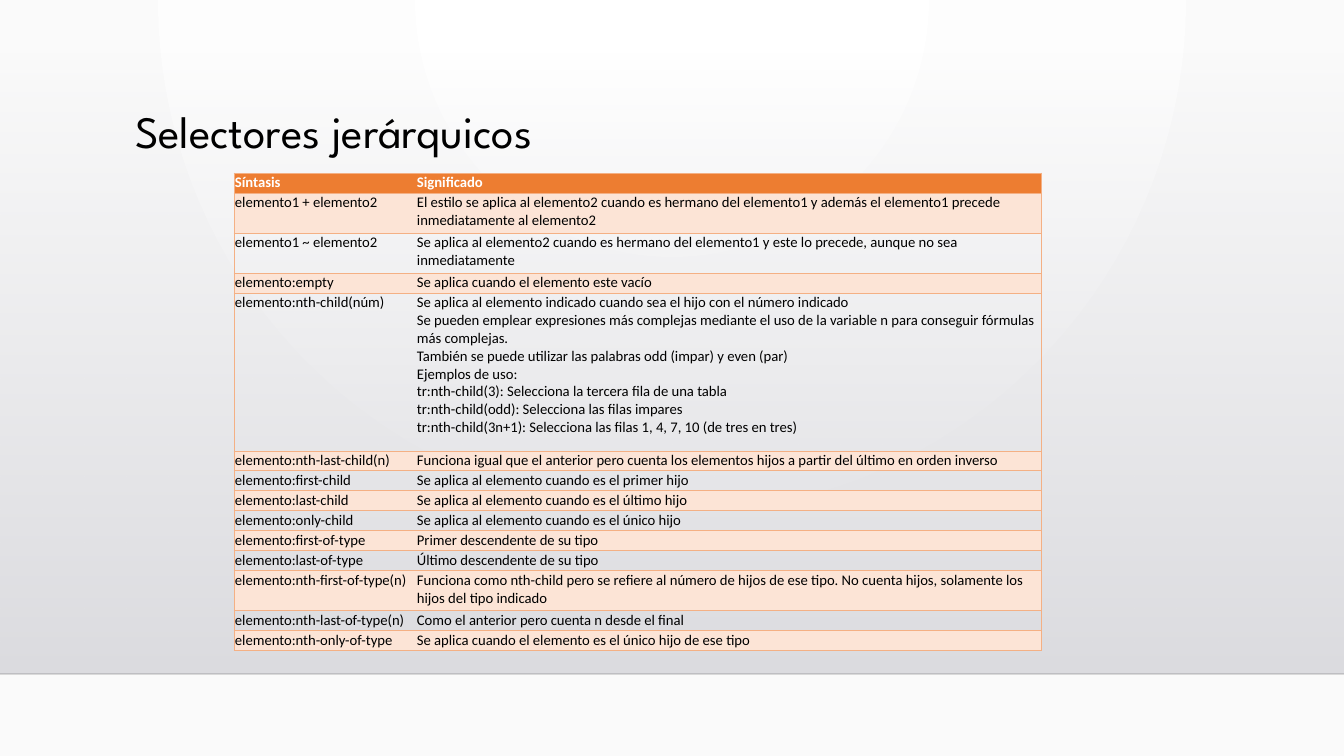
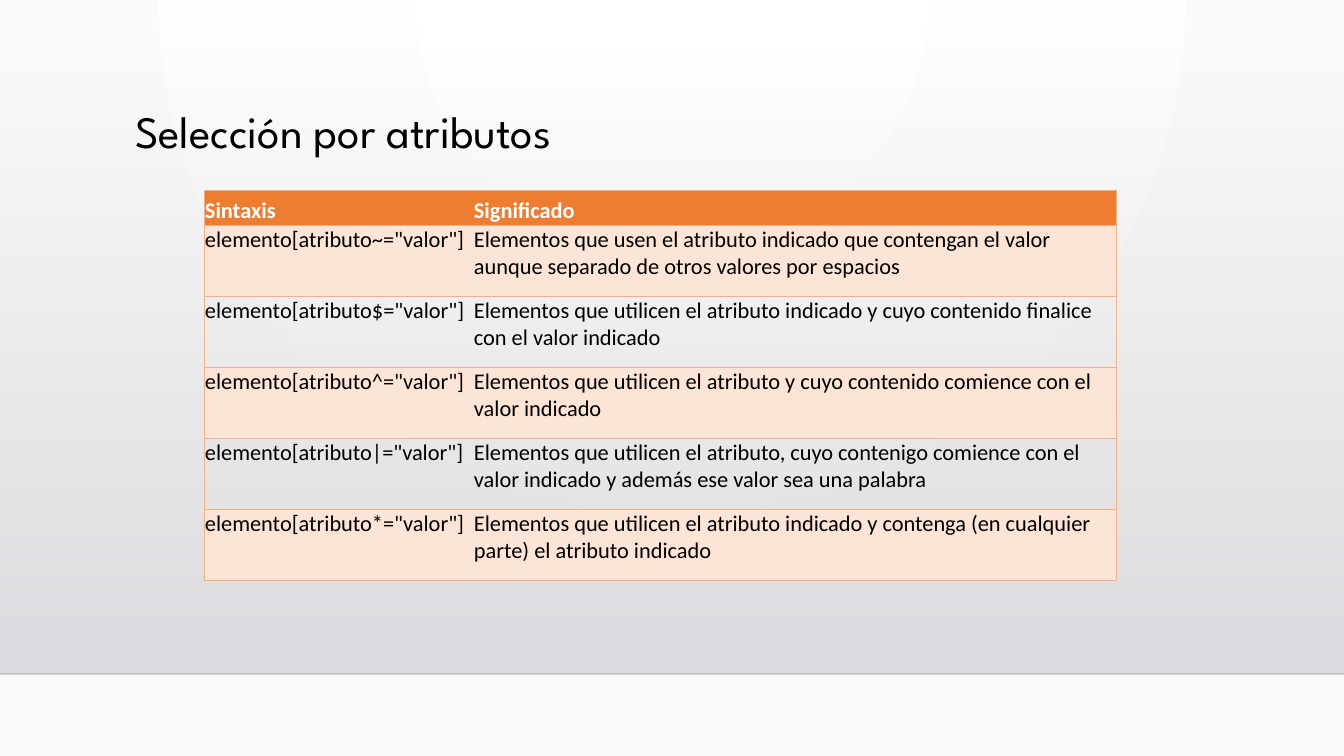
import pptx
import pptx.dml.color
import pptx.enum.shapes
import pptx.enum.text
import pptx.oxml
import pptx.oxml.ns
import pptx.util

WIDTH, HEIGHT = 1344, 756
SCALE = 12192000 / WIDTH
FLOOR_TOP = 674
BLACK, WHITE = "000000", "FFFFFF"
HEADER, BAND, BORDER = "ED7D31", "FCE4D6", "F4B084"
PLAIN_TABLE = "{2D5ABB26-0587-4C30-8999-92F81FD0307C}"
ANCHOR = pptx.enum.text.MSO_ANCHOR

HIERARCHY = [
    ("Síntasis", "Significado"),
    ("elemento1 + elemento2",
     "El estilo se aplica al elemento2 cuando es hermano del elemento1 y además "
     "el elemento1 precede inmediatamente al elemento2"),
    ("elemento1 ~ elemento2",
     "Se aplica al elemento2 cuando es hermano del elemento1 y este lo precede, "
     "aunque no sea inmediatamente"),
    ("elemento:empty", "Se aplica cuando el elemento este vacío"),
    ("elemento:nth-child(núm)",
     "Se aplica al elemento indicado cuando sea el hijo con el número indicado\n"
     "Se pueden emplear expresiones más complejas mediante el uso de la variable n "
     "para conseguir fórmulas más complejas.\n"
     "También se puede utilizar las palabras odd (impar) y even (par)\n"
     "Ejemplos de uso:\n"
     "tr:nth-child(3): Selecciona la tercera fila de una tabla\n"
     "tr:nth-child(odd): Selecciona las filas impares\n"
     "tr:nth-child(3n+1): Selecciona las filas 1, 4, 7, 10 (de tres en tres)"),
    ("elemento:nth-last-child(n)",
     "Funciona igual que el anterior pero cuenta los elementos hijos a partir del "
     "último en orden inverso"),
    ("elemento:first-child", "Se aplica al elemento cuando es el primer hijo"),
    ("elemento:last-child", "Se aplica al elemento cuando es el último hijo"),
    ("elemento:only-child", "Se aplica al elemento cuando es el único hijo"),
    ("elemento:first-of-type", "Primer descendente de su tipo"),
    ("elemento:last-of-type", "Último descendente de su tipo"),
    ("elemento:nth-first-of-type(n)",
     "Funciona como nth-child pero se refiere al número de hijos de ese tipo. "
     "No cuenta hijos, solamente los hijos del tipo indicado"),
    ("elemento:nth-last-of-type(n)", "Como el anterior pero cuenta n desde el final"),
    ("elemento:nth-only-of-type",
     "Se aplica cuando el elemento es el único hijo de ese tipo"),
]
HIERARCHY_HEIGHTS = [20, 40, 40, 20, 158] + [20] * 6 + [40, 20, 20]

ATTRIBUTES = [
    ("Sintaxis", "Significado"),
    ('elemento[atributo~="valor"]',
     "Elementos que usen el atributo indicado que contengan el valor aunque "
     "separado de otros valores por espacios"),
    ('elemento[atributo$="valor"]',
     "Elementos que utilicen el atributo indicado y cuyo contenido finalice con "
     "el valor indicado"),
    ('elemento[atributo^="valor"]',
     "Elementos que utilicen el atributo y cuyo contenido comience con el valor "
     "indicado"),
    ('elemento[atributo|="valor"]',
     "Elementos que utilicen el atributo, cuyo contenigo comience con el valor "
     "indicado y además ese valor sea una palabra"),
    ('elemento[atributo*="valor"]',
     "Elementos que utilicen el atributo indicado y contenga (en cualquier parte) "
     "el atributo indicado"),
]
ATTRIBUTE_HEIGHTS = [35] + [71] * 5


def px(length):
    """Turn a length in pixels into EMU."""
    return pptx.util.Emu(round(length * SCALE))


def color(value):
    """Turn a hex string into a colour."""
    return pptx.dml.color.RGBColor.from_string(value)


def xml(markup):
    """Parse markup whose outer tag lies in the drawing namespace."""
    head, space, rest = markup.partition(" ")
    return pptx.oxml.parse_xml(f"{head} {pptx.oxml.ns.nsdecls('a')}{space}{rest}")


def set_gradient(fill, element, stops, direction):
    """Give a fill the gradient of (position, colour, opacity) stops."""
    fill.gradient()
    old = element.xpath(".//a:gradFill")[0]
    marks = "".join(
        f'<a:gs pos="{position * 1000}"><a:srgbClr val="{value}">'
        f'<a:alpha val="{opacity * 1000}"/></a:srgbClr></a:gs>'
        for position, value, opacity in stops)
    new = xml(f'<a:gradFill rotWithShape="1"><a:gsLst>{marks}</a:gsLst>{direction}</a:gradFill>')
    old.getparent().replace(old, new)


def write_text(frame, text, size, font, fill=BLACK, bold=False, spacing=None):
    """Write text, one paragraph a line, in a single format."""
    frame.text = text
    frame.word_wrap = True
    for para in frame.paragraphs:
        para.alignment = pptx.enum.text.PP_ALIGN.LEFT
        para.line_spacing = spacing
        for span in para.runs:
            span.font.size = pptx.util.Pt(size)
            span.font.name = font
            span.font.bold = bold
            span.font.color.rgb = color(fill)


def build_backdrop(layout, slide):
    """Put the background, the shaded wall and the floor line on the layout."""
    set_gradient(
        layout.background.fill, layout.element,
        [(0, WHITE, 100), (100, "FAFAFA", 100)],
        '<a:path path="circle"><a:fillToRect l="43000" r="43000" b="100000"/></a:path>')

    wall_top = 51
    wall = slide.shapes.add_shape(
        pptx.enum.shapes.MSO_SHAPE.RECTANGLE,
        0, px(wall_top), px(WIDTH), px(FLOOR_TOP - wall_top))
    wall.shadow.inherit = False
    wall.line.fill.background()
    set_gradient(wall.fill, wall.element, [(0, "DCDCE0", 0), (100, "DEDEE2", 100)],
                 '<a:lin ang="5400000" scaled="0"/>')

    edge = slide.shapes.add_connector(
        pptx.enum.shapes.MSO_CONNECTOR.STRAIGHT,
        0, px(FLOOR_TOP), px(WIDTH), px(FLOOR_TOP))
    edge.line.width = pptx.util.Pt(1)
    edge.line.color.rgb = color("000001")
    edge.element.xpath(".//a:ln//a:srgbClr")[0].append(xml('<a:alpha val="20000"/>'))
    edge.element.spPr.append(xml("<a:effectLst />"))

    for position, shape in enumerate((wall, edge), start=2):
        layout.shapes.element.insert(position, shape.element)


def set_title(slide, text):
    """Place and write the slide title."""
    title = slide.shapes.title
    title.left, title.top, title.width, title.height = px(125), px(105), px(1058), px(116)
    write_text(title.text_frame, text, 32, "League Spartan", spacing=0.9)
    title.text_frame.vertical_anchor = ANCHOR.TOP
    title.text_frame.auto_size = pptx.enum.text.MSO_AUTO_SIZE.NONE


def add_borders(cell, sides):
    """Draw thin borders on the named sides of a cell."""
    properties = cell._tc.get_or_add_tcPr()
    for side in sides:
        properties.append(xml(
            f'<a:ln{side} w="6350"><a:solidFill><a:srgbClr val="{BORDER}"/>'
            f'</a:solidFill></a:ln{side}>'))


def fill_cell(cell, text, row, column, size, header_anchor):
    """Write and style one table cell."""
    header = row == 0
    add_borders(cell, "LTB" if column == 0 else "RTB")
    if header or row % 2:
        cell.fill.solid()
        cell.fill.fore_color.rgb = color(HEADER if header else BAND)
    else:
        cell.fill.background()
    cell.margin_left = cell.margin_top = cell.margin_right = px(1)
    cell.margin_bottom = 0
    cell.vertical_anchor = header_anchor if header else ANCHOR.TOP
    write_text(cell.text_frame, text, size, "Calibri",
               fill=WHITE if header else BLACK, bold=header)


def add_selector_table(slide, rows, left, top, widths, heights, size,
                       header_anchor=ANCHOR.TOP):
    """Add a banded table of selectors and meanings."""
    frame = slide.shapes.add_table(
        len(rows), len(widths), px(left), px(top), px(sum(widths)), px(sum(heights)))
    frame.element.xpath(".//a:tableStyleId")[0].text = PLAIN_TABLE
    table = frame.table
    table.horz_banding = False
    for column, width in zip(table.columns, widths):
        column.width = px(width)
    for line, height in zip(table.rows, heights):
        line.height = px(height)
    for row, texts in enumerate(rows):
        for column, text in enumerate(texts):
            fill_cell(table.cell(row, column), text, row, column, size, header_anchor)


def main():
    """Build the deck and save it."""
    deck = pptx.Presentation()
    deck.slide_width, deck.slide_height = px(WIDTH), px(HEIGHT)
    layout = deck.slide_layouts.get_by_name("Title Only")

    hierarchy = deck.slides.add_slide(layout)
    build_backdrop(layout, hierarchy)
    set_title(hierarchy, "Selectores jerárquicos")
    add_selector_table(hierarchy, HIERARCHY, 234, 173, [182, 625],
                       HIERARCHY_HEIGHTS, 10.5)

    attributes = deck.slides.add_slide(layout)
    set_title(attributes, "Selección por atributos")
    add_selector_table(attributes, ATTRIBUTES, 204, 190, [269, 643],
                       ATTRIBUTE_HEIGHTS, 16, header_anchor=ANCHOR.BOTTOM)

    deck.save("out.pptx")


if __name__ == "__main__":
    main()
